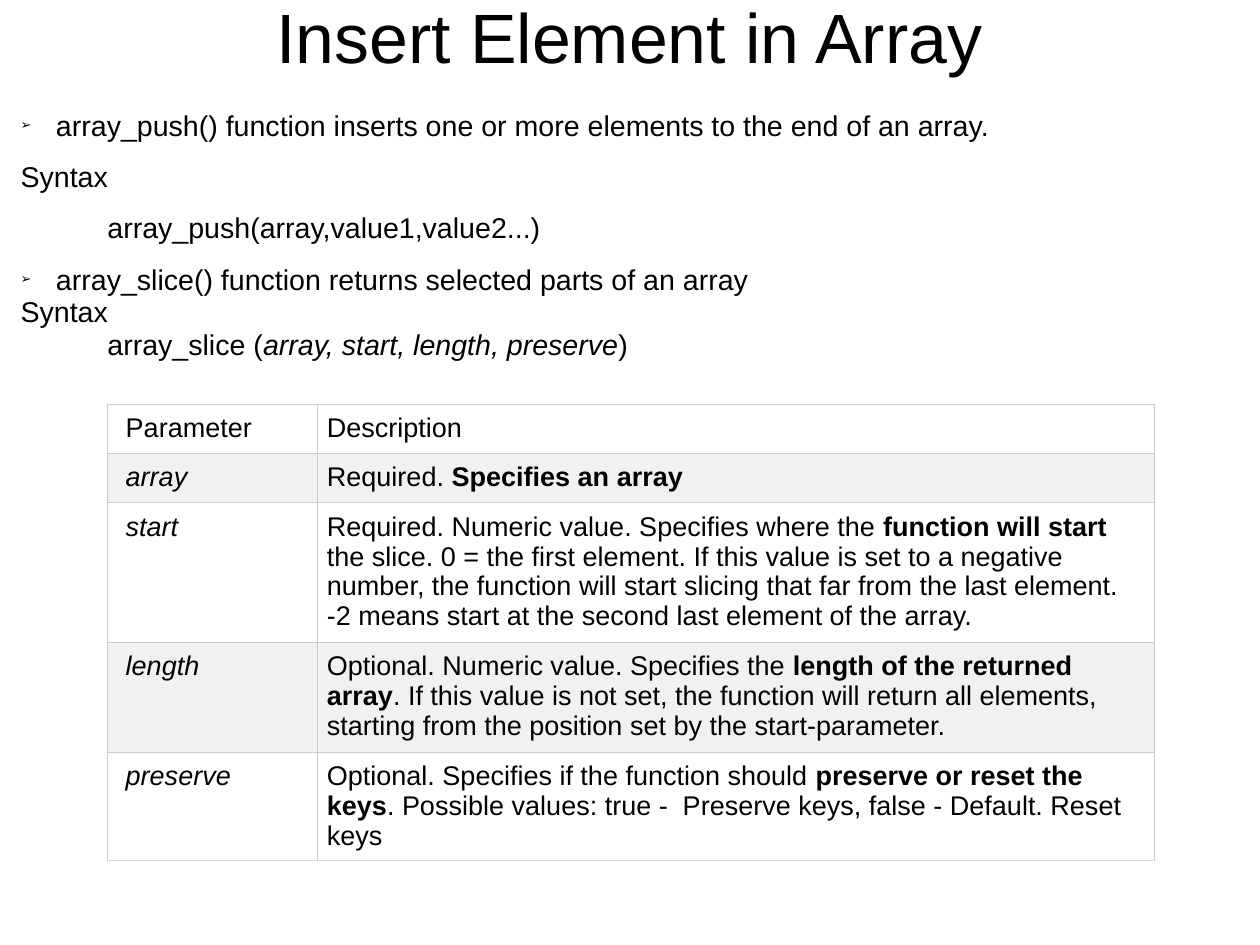
import pptx
import pptx.util
import pptx.dml.color
import pptx.enum.text
import pptx.oxml.ns
import lxml.etree

Inches = pptx.util.Inches
Pt = pptx.util.Pt
RGBColor = pptx.dml.color.RGBColor
BLACK = RGBColor(0x00, 0x00, 0x00)
WHITE = RGBColor(0xFF, 0xFF, 0xFF)
BAND = RGBColor(0xF1, 0xF1, 0xF1)
GRID = RGBColor(0xCC, 0xCC, 0xCC)
TABLE_END = RGBColor(0xDD, 0xDD, 0xDD)
FONT = "Arial"
CM_PER_INCH = 2.54
SLIDE_WIDTH_CM, SLIDE_HEIGHT_CM = 28, 21
TIGHT, CELL, LOOSE = 0.96, 0.99, 1.5
BULLET_INDENT, CODE_INDENT = 0.31, 0.76

BODY = [
    ("bullet", LOOSE, [("array_push() function inserts one or more elements to the end of an array.", "")]),
    ("plain", LOOSE, [("Syntax", "")]),
    ("code", LOOSE, [("array_push(array,value1,value2...)", "")]),
    ("bullet", LOOSE, [("array_slice() function returns selected parts of an array", "")]),
    ("plain", TIGHT, [("Syntax", "")]),
    ("code", TIGHT, [("array_slice (", ""), ("array, start, length, preserve", "i"), (")", "")]),
]

COLUMN_WIDTHS = [1.84, 7.32]
ROW_HEIGHTS = [0.43, 0.43, 1.22, 0.96, 0.95]
PARAMETERS = [
    [[("Parameter", "")], [("Description", "")]],
    [[("array", "i")], [("Required. ", ""), ("Specifies an array", "b")]],
    [[("start", "i")], [
        ("Required. Numeric value. Specifies where the ", ""),
        ("function will start ", "b"),
        ("the slice. 0 = the first element. If this value is set to a negative number, "
         "the function will start slicing that far from the last element. "
         "-2 means start at the second last element of the array.", "")]],
    [[("length", "i")], [
        ("Optional. Numeric value. Specifies the ", ""),
        ("length of the returned array", "b"),
        (". If this value is not set, the function will return all elements, "
         "starting from the position set by the start-parameter.", "")]],
    [[("preserve", "i")], [
        ("Optional. Specifies if the function should ", ""),
        ("preserve or reset the keys", "b"),
        (". Possible values: true -  Preserve keys, false - Default. Reset keys", "")]],
]


def add_element(parent, tag, **attributes):
    return lxml.etree.SubElement(parent, pptx.oxml.ns.qn(tag), **attributes)


def write_runs(p, runs, size, spacing):
    p.line_spacing = spacing
    p.space_before = p.space_after = Pt(0)
    for text, style in runs:
        r = p.add_run()
        r.text = text
        r.font.name = FONT
        r.font.size = Pt(size)
        r.font.color.rgb = BLACK
        r.font.bold = style == "b"
        r.font.italic = style == "i"


def place_text(sp, left, top, width, height, anchor):
    sp.left, sp.top = Inches(left), Inches(top)
    sp.width, sp.height = Inches(width), Inches(height)
    tf = sp.text_frame
    tf.auto_size = pptx.enum.text.MSO_AUTO_SIZE.NONE
    tf.word_wrap = True
    tf.vertical_anchor = anchor
    tf.margin_left = tf.margin_right = tf.margin_top = tf.margin_bottom = 0
    return tf


def set_list_format(p, kind):
    pPr = p._p.get_or_add_pPr()
    left = {"bullet": BULLET_INDENT, "code": CODE_INDENT, "plain": 0}[kind]
    hanging = BULLET_INDENT if kind == "bullet" else 0
    pPr.set("marL", str(Inches(left)))
    pPr.set("indent", str(-Inches(hanging)))
    if kind == "bullet":
        add_element(add_element(pPr, "a:buClr"), "a:srgbClr", val=str(BLACK))
        add_element(pPr, "a:buSzPct", val="45000")
        add_element(pPr, "a:buChar", char="➢")
    else:
        add_element(pPr, "a:buNone")


def add_title(s):
    tf = place_text(s.shapes.title, 0.55, -0.03, 9.92, 0.75, pptx.enum.text.MSO_ANCHOR.MIDDLE)
    p = tf.paragraphs[0]
    p.alignment = pptx.enum.text.PP_ALIGN.CENTER
    write_runs(p, [("Insert Element in Array", "")], 44, TIGHT)


def add_body(s):
    tf = place_text(s.placeholders[1], 0.18, 0.79, 10.68, 2.6, pptx.enum.text.MSO_ANCHOR.TOP)
    for i, (kind, spacing, runs) in enumerate(BODY):
        p = tf.add_paragraph() if i else tf.paragraphs[0]
        set_list_format(p, kind)
        write_runs(p, runs, 18, spacing)


def set_borders(cell, bottom):
    tcPr = cell._tc.get_or_add_tcPr()
    sides = [("a:lnL", GRID), ("a:lnR", GRID), ("a:lnT", GRID), ("a:lnB", bottom)]
    for tag, color in sides:
        ln = add_element(tcPr, tag, w=str(Pt(0.75)))
        add_element(add_element(ln, "a:solidFill"), "a:srgbClr", val=str(color))


def fill_cell(cell, runs, left_margin, fill, bottom):
    set_borders(cell, bottom)
    cell.fill.solid()
    cell.fill.fore_color.rgb = fill
    cell.margin_left = Inches(left_margin)
    cell.margin_right = cell.margin_top = cell.margin_bottom = Inches(0.08)
    write_runs(cell.text_frame.paragraphs[0], runs, 17, CELL)


def add_parameter_table(s):
    table = s.shapes.add_table(
        len(PARAMETERS), len(COLUMN_WIDTHS), Inches(0.94), Inches(3.54),
        Inches(sum(COLUMN_WIDTHS)), Inches(sum(ROW_HEIGHTS))).table
    table.first_row = table.horz_banding = False
    for column, width in zip(table.columns, COLUMN_WIDTHS):
        column.width = Inches(width)
    for i, (row, height) in enumerate(zip(table.rows, ROW_HEIGHTS)):
        row.height = Inches(height)
        fill = BAND if i % 2 else WHITE
        bottom = TABLE_END if i == len(PARAMETERS) - 1 else GRID
        for cell, runs, left_margin in zip(row.cells, PARAMETERS[i], (0.16, 0.08)):
            fill_cell(cell, runs, left_margin, fill, bottom)


def main():
    prs = pptx.Presentation()
    prs.slide_width = Inches(SLIDE_WIDTH_CM / CM_PER_INCH)
    prs.slide_height = Inches(SLIDE_HEIGHT_CM / CM_PER_INCH)
    s = prs.slides.add_slide(prs.slide_layouts[1])
    add_title(s)
    add_body(s)
    add_parameter_table(s)
    prs.save("out.pptx")


if __name__ == "__main__":
    main()
